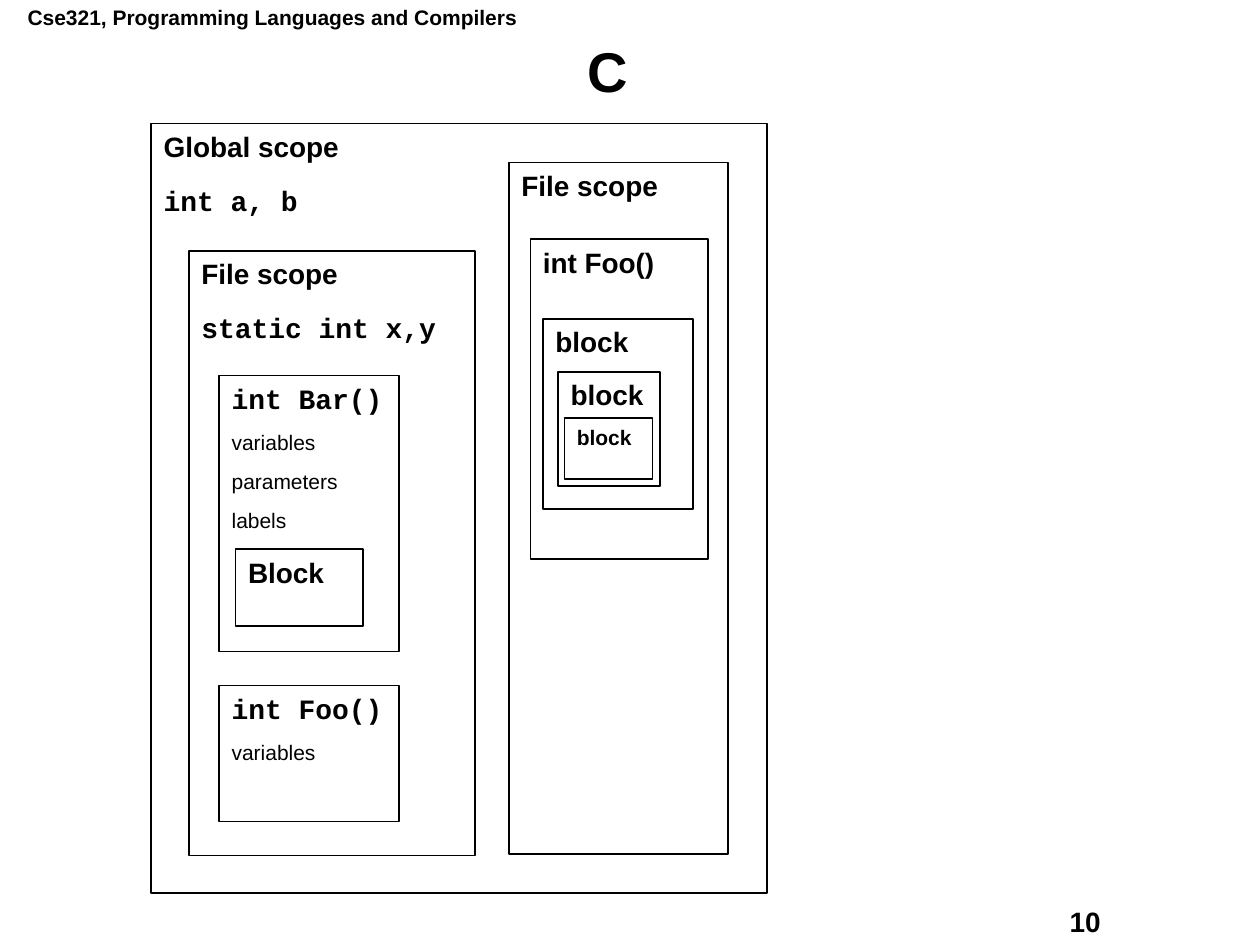
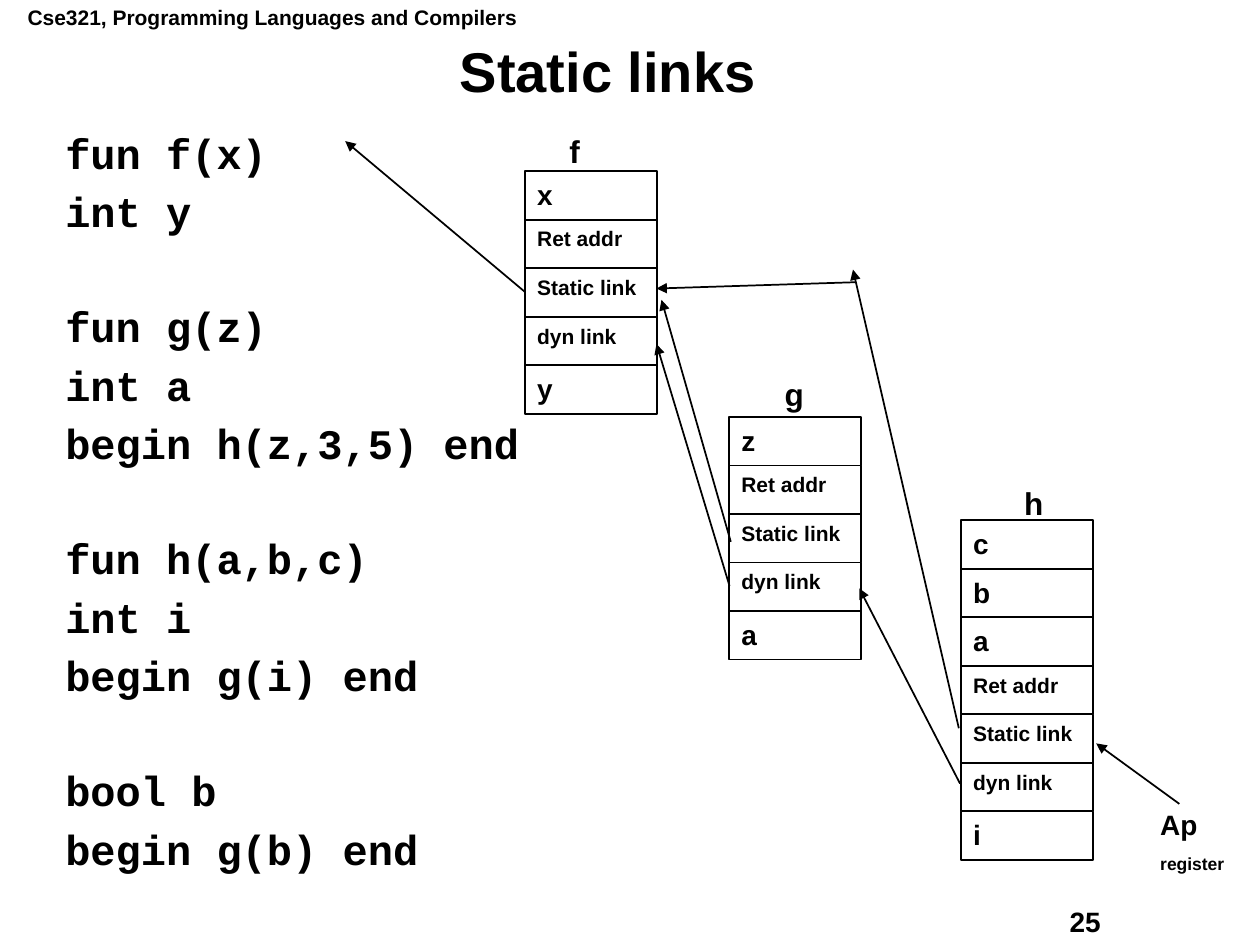
from dataclasses import dataclass
from typing import NamedTuple

from lxml import etree
from pptx import Presentation
from pptx.dml.color import RGBColor
from pptx.enum import shapes, text
from pptx.oxml import ns
from pptx.util import Inches, Pt

COLORS = {"ink": "000000"}
SANS, MONO = "Arial", "Courier New"

# The slide is a grid of 100 columns by 75 rows
SLIDE_WIDTH, SLIDE_HEIGHT = Inches(10), Inches(7.5)
COLUMNS, ROWS = 100, 75


class Area(NamedTuple):
    col: float
    row: float
    cols: float
    rows: float


@dataclass(frozen=True)
class Style:
    size: float
    font: str = SANS
    bold: bool = True
    before: float = 0
    spacing: float = 1.0
    align: text.PP_ALIGN = text.PP_ALIGN.LEFT


class Line(NamedTuple):
    words: str
    style: Style


class Scope(NamedTuple):
    area: Area
    lines: list[Line]


class Arrow(NamedTuple):
    from_col: float
    from_row: float
    to_col: float
    to_row: float


class Frame(NamedTuple):
    name: str
    name_col: float
    name_row: float
    col: float
    row: float
    slots: list[str]


# Text styles
TITLE = Style(32, spacing=0.9, align=text.PP_ALIGN.CENTER)
HEADING = Style(16, before=11.5)
DECLARATION = Style(16, MONO, before=11.5)
DETAIL = Style(12, bold=False, before=8)
SMALL = Style(12)
FRAME_NAME = Style(18)
REGISTER = Style(10, before=7)
CODE = Style(24, MONO, before=10.4, spacing=0.8)
CODE_GROUP = Style(24, MONO, before=42.6, spacing=0.8)

# Shared areas
HEADER = Area(1.2, -0.1, 41.2, 3)
PAGE_NUMBER = Area(83.9, 71.3, 12.7, 3.6)
TITLE_BAND = Area(3.1, 3.1, 90.3, 5.6)

# C scopes, from the outside in
SCOPES = [
    Scope(Area(12, 9.8, 48.9, 61.1),
          [Line("Global scope", HEADING), Line("int a, b", DECLARATION)]),
    Scope(Area(15, 19.9, 22.7, 48),
          [Line("File scope", HEADING), Line("static int x,y", DECLARATION)]),
    Scope(Area(17.4, 29.8, 14.3, 21.9),
          [Line("int Bar()", DECLARATION), Line("variables", DETAIL),
           Line("parameters", DETAIL), Line("labels", DETAIL)]),
    Scope(Area(40.4, 12.9, 17.4, 54.9), [Line("File scope", HEADING)]),
    Scope(Area(18.7, 43.6, 10.1, 6.1), [Line("Block", HEADING)]),
    Scope(Area(17.4, 54.4, 14.3, 10.8),
          [Line("int Foo()", DECLARATION), Line("variables", DETAIL)]),
    Scope(Area(42.1, 19, 14.1, 25.4), [Line("int Foo()", HEADING)]),
    Scope(Area(43.1, 25.3, 11.9, 15.1), [Line("block", HEADING)]),
    Scope(Area(44.3, 29.5, 8.1, 9.1), [Line("block", HEADING)]),
    Scope(Area(44.8, 33.2, 7, 4.8), [Line("block", SMALL)]),
]

# Program, one list per group of lines
PROGRAM = [
    ["fun f(x)", "int y"],
    ["fun g(z)", "int a", "begin h(z,3,5) end"],
    ["fun h(a,b,c)", "int i", "begin g(i) end"],
    ["bool b", "begin g(b) end"],
]

# Activation records
SLOT_COLS, SLOT_ROWS = 10.5, 3.85
LINKAGE = ["Ret addr", "Static link", "dyn link"]
FRAMES = [
    Frame("f", 44.2, 10, 41.65, 13.6, ["x", *LINKAGE, "y"]),
    Frame("g", 61.3, 29.3, 57.85, 33.1, ["z", *LINKAGE, "a"]),
    Frame("h", 80.3, 37.9, 76.25, 41.3, ["c", "b", "a", *LINKAGE, "i"]),
]
ARROWS = [
    Arrow(76.1, 57.8, 67.7, 21.4),
    Arrow(67.9, 22.4, 52.1, 22.9),
    Arrow(58, 43, 52.5, 23.8),
    Arrow(57.9, 46.5, 52.1, 27.3),
    Arrow(41.7, 23.2, 27.4, 11.2),
    Arrow(76.2, 62.2, 68.2, 46.7),
    Arrow(93.6, 63.8, 87, 59),
]


def across(cols: float) -> int:
    return round(SLIDE_WIDTH * cols / COLUMNS)


def down(rows: float) -> int:
    return round(SLIDE_HEIGHT * rows / ROWS)


def place(area: Area) -> tuple[int, int, int, int]:
    return across(area.col), down(area.row), across(area.cols), down(area.rows)


def ink() -> RGBColor:
    return RGBColor.from_string(COLORS["ink"])


def write(frame, lines: list[Line], anchor=text.MSO_ANCHOR.TOP) -> None:
    frame.word_wrap = True
    frame.vertical_anchor = anchor
    for index, (words, style) in enumerate(lines):
        paragraph = frame.add_paragraph() if index else frame.paragraphs[0]
        paragraph.alignment = style.align
        paragraph.line_spacing = style.spacing
        if index:
            paragraph.space_before = Pt(style.before)
        run = paragraph.add_run()
        run.text = words
        run.font.name = style.font
        run.font.size = Pt(style.size)
        run.font.bold = style.bold
        run.font.color.rgb = ink()


def add_label(parent, area: Area, lines: list[Line],
              anchor=text.MSO_ANCHOR.TOP) -> None:
    write(parent.add_textbox(*place(area)).text_frame, lines, anchor)


def add_box(parent, area: Area, lines: list[Line]) -> None:
    box = parent.add_shape(shapes.MSO_SHAPE.RECTANGLE, *place(area))
    box.shadow.inherit = False
    box.fill.background()
    box.line.color.rgb = ink()
    box.line.width = Pt(1)
    write(box.text_frame, lines)


def add_arrow(parent, arrow: Arrow) -> None:
    link = parent.add_connector(
        shapes.MSO_CONNECTOR.STRAIGHT,
        across(arrow.from_col), down(arrow.from_row),
        across(arrow.to_col), down(arrow.to_row))
    link.line.color.rgb = ink()
    link.line.width = Pt(1)
    properties = link._element.spPr
    outline = properties.find(ns.qn("a:ln"))
    etree.SubElement(outline, ns.qn("a:tailEnd"), type="triangle")
    etree.SubElement(properties, ns.qn("a:effectLst"))


def add_frame(parent, frame: Frame) -> None:
    record = parent.add_group_shape().shapes
    for index, slot in enumerate(frame.slots):
        row = frame.row + index * SLOT_ROWS
        style = SMALL if slot in LINKAGE else HEADING
        add_box(record, Area(frame.col, row, SLOT_COLS, SLOT_ROWS),
                [Line(slot, style)])
    add_label(record, Area(frame.name_col, frame.name_row, 3.6, 4),
              [Line(frame.name, FRAME_NAME)])


def start_slide(deck, title: str, number: int):
    canvas = deck.slides.add_slide(deck.slide_layouts[6]).shapes
    add_label(canvas, HEADER,
              [Line("Cse321, Programming Languages and Compilers", SMALL)])
    add_label(canvas, PAGE_NUMBER, [Line(str(number), HEADING)])
    add_label(canvas, TITLE_BAND, [Line(title, TITLE)], text.MSO_ANCHOR.MIDDLE)
    return canvas


def build_scopes(deck) -> None:
    canvas = start_slide(deck, "C", 10)
    for scope in SCOPES:
        add_box(canvas, scope.area, scope.lines)


def build_static_links(deck) -> None:
    canvas = start_slide(deck, "Static links", 25)
    program = [Line(words, CODE if index else CODE_GROUP)
               for group in PROGRAM for index, words in enumerate(group)]
    add_label(canvas, Area(4.2, 10.4, 40.6, 58.6), program)
    for frame in FRAMES:
        add_frame(canvas, frame)
    for arrow in ARROWS:
        add_arrow(canvas, arrow)
    add_label(canvas, Area(91.1, 63.6, 8.9, 6.2),
              [Line("Ap", HEADING), Line("register", REGISTER)])


def main() -> None:
    deck = Presentation()
    deck.slide_width, deck.slide_height = SLIDE_WIDTH, SLIDE_HEIGHT
    build_scopes(deck)
    build_static_links(deck)
    deck.save("out.pptx")


if __name__ == "__main__":
    main()
